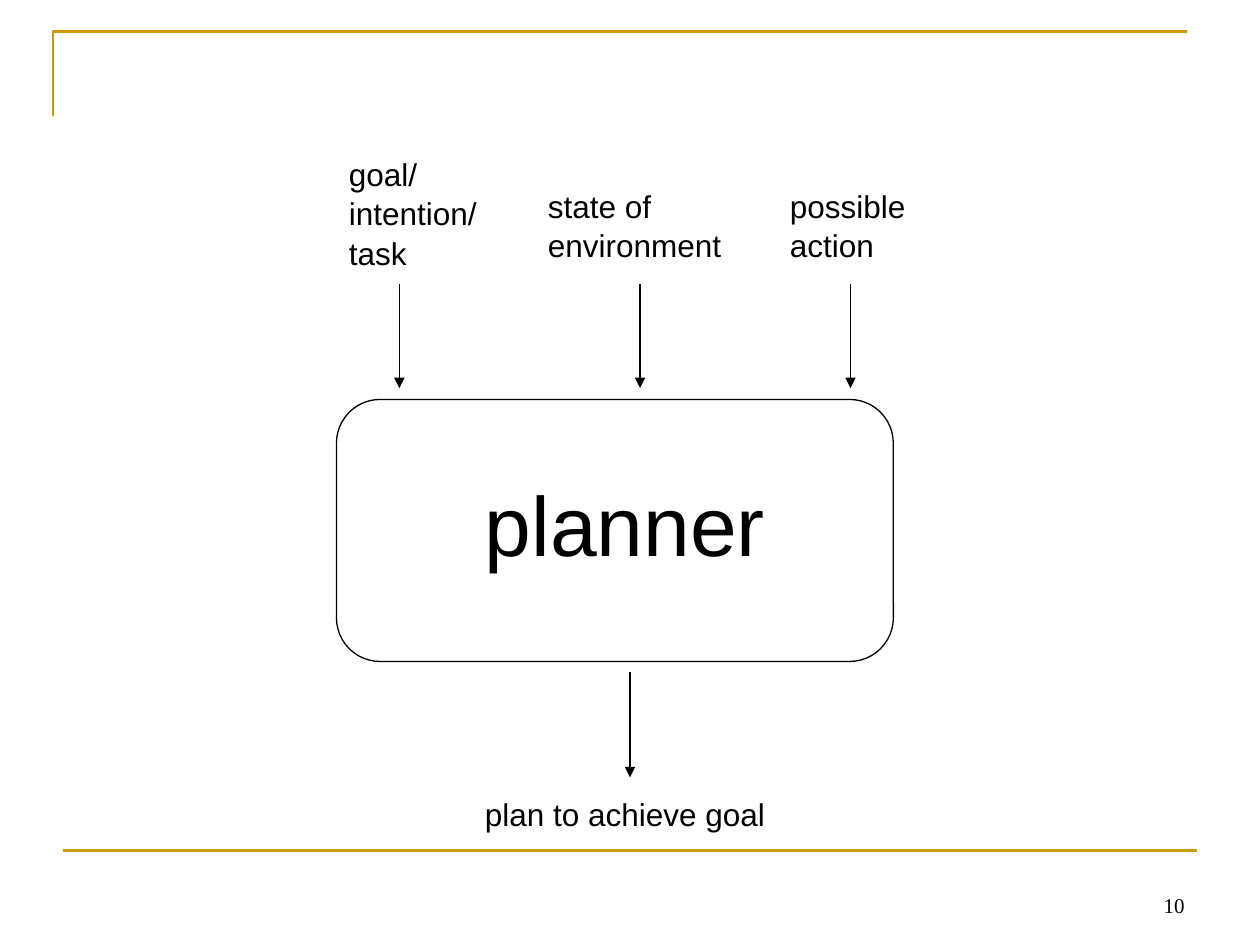
from lxml import etree
from pptx import Presentation
from pptx.dml.color import RGBColor
from pptx.enum.shapes import MSO_CONNECTOR, MSO_SHAPE
from pptx.enum.text import MSO_ANCHOR, PP_ALIGN
from pptx.oxml.ns import qn
from pptx.util import Inches, Pt

STRAIGHT = MSO_CONNECTOR.STRAIGHT
ROUNDED = MSO_SHAPE.ROUNDED_RECTANGLE
LEFT, RIGHT = PP_ALIGN.LEFT, PP_ALIGN.RIGHT
TOP, BOTTOM = MSO_ANCHOR.TOP, MSO_ANCHOR.BOTTOM

COLORS = {"ink": "000000", "paper": "FFFFFF", "gold": "CC9900"}
BLANK_LAYOUT = 6

# text, left, top, width, height, arrow x
INPUTS = [
    ("goal/\nintention/\ntask", 2.67, 1.17, 1.25, 1.0, 3.17),
    ("state of environment", 4.25, 1.42, 1.58, 0.7, 5.08),
    ("possible\naction", 6.17, 1.42, 1.92, 0.7, 6.75),
]


def color(name):
    return RGBColor.from_string(COLORS[name])


def style_line(line, name, width):
    line.color.rgb = color(name)
    line.width = Pt(width)


def add_line(slide, start, end, name="ink", width=0.75, arrow=False):
    connector = slide.shapes.add_connector(
        STRAIGHT, *(Inches(value) for value in (*start, *end)))
    style_line(connector.line, name, width)
    properties = connector._element.spPr
    if arrow:
        outline = properties.find(qn("a:ln"))
        etree.SubElement(outline, qn("a:tailEnd"), type="triangle")
    etree.SubElement(properties, qn("a:effectLst"))


def add_down_arrow(slide, x, top, bottom):
    add_line(slide, (x, top), (x, bottom), arrow=True)


def add_label(slide, text, left, top, width, height, size=18, font="Arial",
              align=LEFT, anchor=TOP, spacing=1.04):
    box = slide.shapes.add_textbox(
        Inches(left), Inches(top), Inches(width), Inches(height))
    frame = box.text_frame
    frame.word_wrap = True
    frame.vertical_anchor = anchor
    paragraph = frame.paragraphs[0]
    paragraph.alignment = align
    paragraph.line_spacing = spacing
    for index, line in enumerate(text.split("\n")):
        if index:
            paragraph.add_line_break()
        run = paragraph.add_run()
        run.text = line
        run.font.size = Pt(size)
        run.font.name = font
        run.font.color.rgb = color("ink")


def add_frame_lines(slide):
    """Draw the gold corner at the top and the gold rule at the bottom."""
    builder = slide.shapes.build_freeform(Inches(0.42), Inches(0.92))
    builder.add_line_segments(
        [(Inches(0.42), Inches(0.25)), (Inches(9.42), Inches(0.25))],
        close=False)
    corner = builder.convert_to_shape()
    corner.shadow.inherit = False
    corner.fill.background()
    style_line(corner.line, "gold", 1.5)
    add_line(slide, (0.5, 6.75), (9.5, 6.75), "gold", 1.5)


def add_planner(slide):
    planner = slide.shapes.add_shape(
        ROUNDED, Inches(2.67), Inches(3.17), Inches(4.42), Inches(2.08))
    planner.adjustments[0] = 0.167
    planner.shadow.inherit = False
    planner.fill.solid()
    planner.fill.fore_color.rgb = color("paper")
    style_line(planner.line, "ink", 0.75)
    add_label(slide, "planner", 3.75, 3.67, 2.67, 0.9, size=48)


def main():
    presentation = Presentation()
    presentation.slide_width = Inches(10)
    presentation.slide_height = Inches(7.5)
    slide = presentation.slides.add_slide(
        presentation.slide_layouts[BLANK_LAYOUT])

    add_frame_lines(slide)
    add_planner(slide)
    for text, left, top, width, height, arrow_x in INPUTS:
        add_label(slide, text, left, top, width, height)
        add_down_arrow(slide, arrow_x, 2.25, 3.08)
    add_down_arrow(slide, 5, 5.33, 6.17)
    add_label(slide, "plan to achieve goal", 3.75, 6.25, 2.58, 0.4)
    add_label(slide, "10", 7.17, 6.83, 2.33, 0.5, size=12,
              font="Times New Roman", align=RIGHT, anchor=BOTTOM, spacing=1.0)

    presentation.save("out.pptx")


if __name__ == "__main__":
    main()
